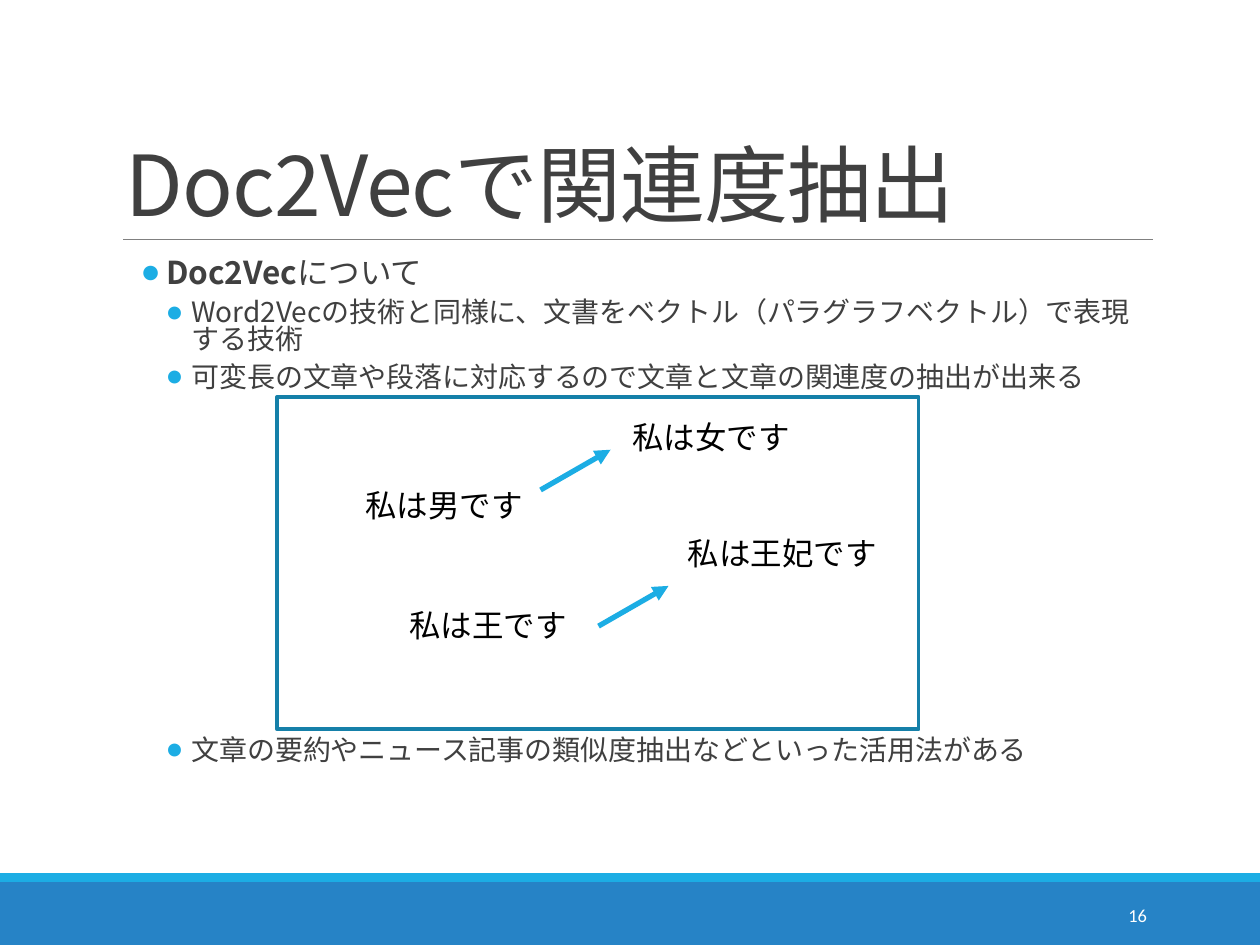
import pptx
import pptx.util
import pptx.dml.color
import pptx.enum.shapes
import pptx.enum.text
import pptx.oxml.ns
from lxml import etree

Pt = pptx.util.Pt
ALIGN = pptx.enum.text.PP_ALIGN
ANCHOR = pptx.enum.text.MSO_ANCHOR
COLORS = {
    "footer": "2683C6",
    "accent": "1CADE4",
    "rule": "808080",
    "text": "404040",
    "frame": "1580A9",
    "label": "000000",
    "white": "FFFFFF",
}
JAPANESE = "Noto Sans CJK JP"
LATIN = "Calibri"


def rgb(name):
    return pptx.dml.color.RGBColor.from_string(COLORS[name])


def add_xml(parent, tag, **attributes):
    return etree.SubElement(parent, pptx.oxml.ns.qn(tag), **attributes)


def add_rectangle(slide, left, top, width, height, fill=None, line=None):
    shape = slide.shapes.add_shape(
        pptx.enum.shapes.MSO_SHAPE.RECTANGLE, Pt(left), Pt(top), Pt(width), Pt(height))
    shape.shadow.inherit = False
    if fill:
        shape.fill.solid()
        shape.fill.fore_color.rgb = rgb(fill)
    else:
        shape.fill.background()
    if line:
        shape.line.color.rgb = rgb(line)
        shape.line.width = Pt(2.25)
    else:
        shape.line.fill.background()


def add_line(slide, start, end, color, width, arrow=False):
    connector = slide.shapes.add_connector(
        pptx.enum.shapes.MSO_CONNECTOR.STRAIGHT, *(Pt(value) for value in start + end))
    connector.line.color.rgb = rgb(color)
    connector.line.width = Pt(width)
    if arrow:
        add_xml(connector.line._get_or_add_ln(), "a:tailEnd", type="triangle")
    add_xml(connector._element.spPr, "a:effectLst")


def add_text_box(slide, left, top, width, height, anchor=ANCHOR.TOP):
    frame = slide.shapes.add_textbox(Pt(left), Pt(top), Pt(width), Pt(height)).text_frame
    frame.word_wrap = True
    frame.vertical_anchor = anchor
    return frame


def add_run(paragraph, text, size, color, font=JAPANESE, bold=False):
    run = paragraph.add_run()
    run.text = text
    run.font.size = Pt(size)
    run.font.bold = bold
    run.font.color.rgb = rgb(color)
    run.font.name = font
    add_xml(run.font._element, "a:ea", typeface=JAPANESE)
    return run


def add_bullet(paragraph, level, indent, space_before):
    paragraph.level = level
    paragraph.line_spacing = 0.8
    paragraph.space_before = Pt(space_before)
    paragraph.space_after = Pt(4)
    properties = paragraph._p.get_or_add_pPr()
    properties.set("marL", str(Pt(indent)))
    properties.set("indent", str(-Pt(14.4)))
    color = add_xml(properties, "a:buClr")
    add_xml(color, "a:srgbClr", val=COLORS["accent"])
    add_xml(properties, "a:buFont", typeface=LATIN)
    add_xml(properties, "a:buChar", char="●")


def add_body(slide):
    frame = add_text_box(slide, 64.8, 145.4, 594, 316.8)
    frame.margin_left = frame.margin_right = 0
    heading = frame.paragraphs[0]
    add_bullet(heading, 1, 30.2, 0)
    add_run(heading, "Doc2Vec", 18, "text", bold=True)
    add_run(heading, "について", 18, "text")
    # The last point stands below the diagram
    points = [
        ("Word2Vecの技術と同様に、文書をベクトル（パラグラフベクトル）で表現する技術", 2),
        ("可変長の文章や段落に対応するので文章と文章の関連度の抽出が出来る", 2),
        ("文章の要約やニュース記事の類似度抽出などといった活用法がある", 194),
    ]
    for text, space_before in points:
        paragraph = frame.add_paragraph()
        add_bullet(paragraph, 2, 44.6, space_before)
        add_run(paragraph, text, 16, "text")


def add_diagram(slide):
    add_rectangle(slide, 158.4, 226.8, 366.5, 190, line="frame")
    labels = [
        ("私は男です", 201.6, 274.3),
        ("私は女です", 354.2, 235.4),
        ("私は王妃です", 385.9, 301.7),
        ("私は王です", 226.8, 342.7),
    ]
    for text, left, top in labels:
        frame = add_text_box(slide, left, top, 125, 29)
        add_run(frame.paragraphs[0], text, 18, "label", LATIN)
    for left, bottom in [(308.9, 280), (342, 357.8)]:
        add_line(slide, (left, bottom), (left + 40, bottom - 23), "accent", 3, arrow=True)


def main():
    presentation = pptx.Presentation()
    presentation.slide_width = Pt(720)
    presentation.slide_height = Pt(540)
    slide = presentation.slides.add_slide(presentation.slide_layouts[6])

    # Footer bands and title rule
    add_rectangle(slide, 0, 504, 720, 36, fill="footer")
    add_rectangle(slide, 0, 499, 720, 5, fill="accent")
    add_line(slide, (70.5, 136.8), (658.8, 136.8), "rule", 0.5)

    # Title
    title = add_text_box(slide, 64.8, 22.3, 594, 114.5, ANCHOR.BOTTOM).paragraphs[0]
    title.line_spacing = 0.85
    run = add_run(title, "Doc2Vecで関連度抽出", 48, "text")
    run.font._element.set("spc", "-50")

    # Body and diagram
    add_body(slide)
    add_diagram(slide)

    # Slide number
    number = add_text_box(slide, 584.6, 508.3, 77.8, 28.8, ANCHOR.MIDDLE).paragraphs[0]
    number.alignment = ALIGN.RIGHT
    add_run(number, "16", 10.5, "white", LATIN)

    presentation.save("out.pptx")


if __name__ == "__main__":
    main()
